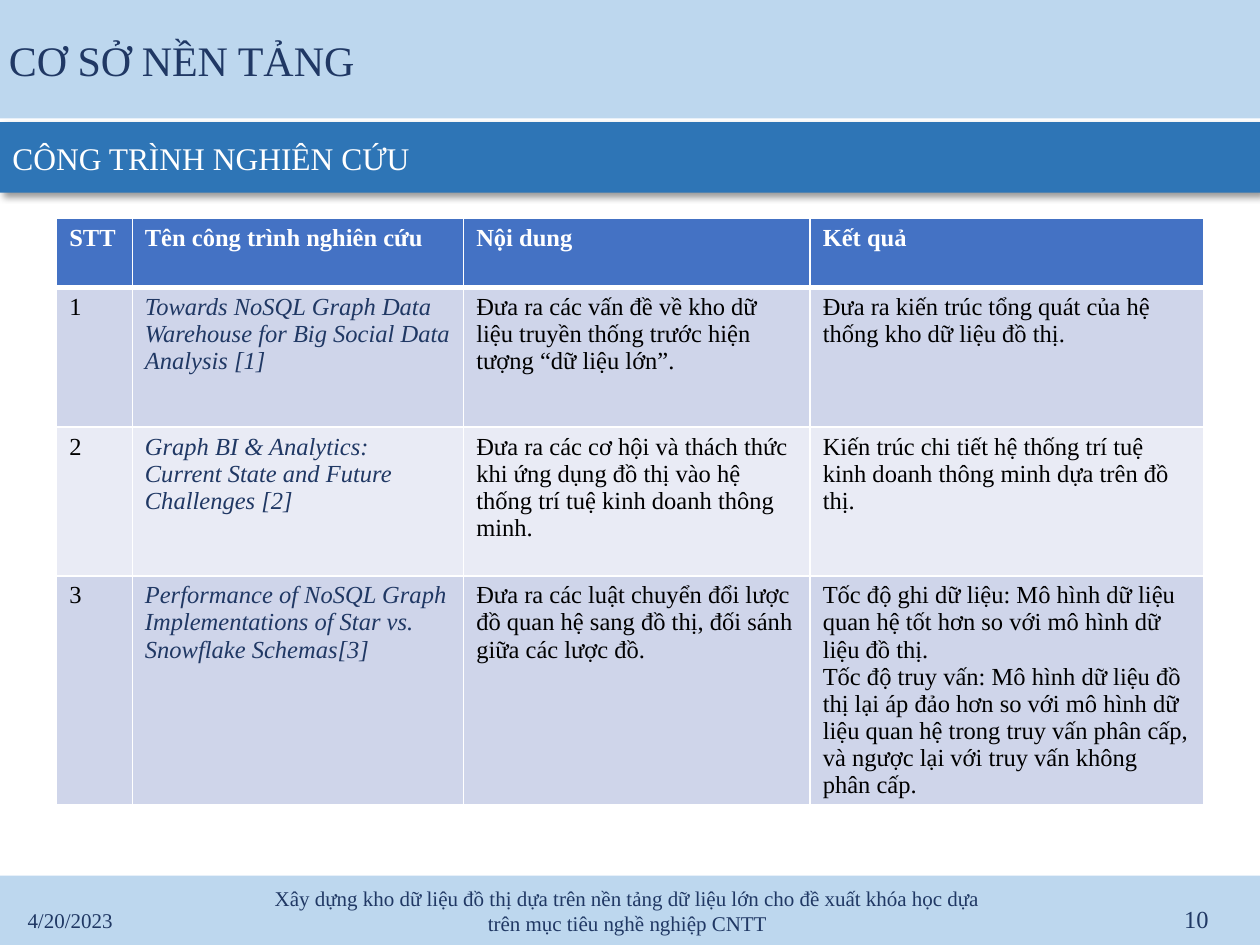
from lxml.etree import SubElement
from pptx import Presentation
from pptx.dml.color import RGBColor
from pptx.enum.shapes import MSO_SHAPE as Shape
from pptx.enum.text import MSO_ANCHOR as Anchor, MSO_AUTO_SIZE as AutoSize, PP_ALIGN as Align
from pptx.oxml.ns import qn
from pptx.util import Inches, Pt

FONT = "Times New Roman"
COLORS = {
    "pale": "BDD7EE", "bar": "2E75B6", "navy": "203864", "white": "FFFFFF", "black": "000000",
    "header": "4472C4", "odd": "CFD5EA", "even": "E9EBF5",
}
COLUMN_WIDTHS = [0.6, 2.63, 2.75, 3.12]
ROW_HEIGHTS = [0.55, 1.11, 1.18, 1.36]
ROWS = [
    ["STT", "Tên công trình nghiên cứu", "Nội dung", "Kết quả"],
    ["1", "Towards NoSQL Graph Data Warehouse for Big Social Data Analysis [1]",
     "Đưa ra các vấn đề về kho dữ liệu truyền thống trước hiện tượng “dữ liệu lớn”.",
     "Đưa ra kiến trúc tổng quát của hệ thống kho dữ liệu đồ thị."],
    ["2", "Graph BI & Analytics: Current State and Future Challenges [2]",
     "Đưa ra các cơ hội và thách thức khi ứng dụng đồ thị vào hệ thống trí tuệ kinh doanh "
     "thông minh.",
     "Kiến trúc chi tiết hệ thống trí tuệ kinh doanh thông minh dựa trên đồ thị."],
    ["3", "Performance of NoSQL Graph Implementations of Star vs. Snowflake Schemas[3]",
     "Đưa ra các luật chuyển đổi lược đồ quan hệ sang đồ thị, đối sánh giữa các lược đồ.",
     "Tốc độ ghi dữ liệu: Mô hình dữ liệu quan hệ tốt hơn so với mô hình dữ liệu đồ thị.\n"
     "Tốc độ truy vấn: Mô hình dữ liệu đồ thị lại áp đảo hơn so với mô hình dữ liệu quan hệ "
     "trong truy vấn phân cấp, và ngược lại với truy vấn không phân cấp."],
]


def color(name):
    return RGBColor.from_string(COLORS[name])


def fill_solid(item, name):
    item.fill.solid()
    item.fill.fore_color.rgb = color(name)


def write(frame, text, size, name, align=Align.LEFT, bold=False, italic=False):
    frame.text = text
    frame.word_wrap = True
    for para in frame.paragraphs:
        para.alignment = align
        font = para.font
        font.name, font.size, font.bold, font.italic = FONT, Pt(size), bold, italic
        font.color.rgb = color(name)


def add_title(page, text):
    title = page.shapes.title
    title.left, title.top, title.width, title.height = map(Inches, (0, 0, 10, 0.94))
    fill_solid(title, "pale")
    frame = title.text_frame
    write(frame, text, 24, "navy")
    frame.auto_size = AutoSize.NONE
    frame.vertical_anchor = Anchor.MIDDLE
    frame.margin_left = frame.margin_right = Inches(0.07)
    frame.margin_top = frame.margin_bottom = Inches(0.04)


def add_band(page, top, name):
    band = page.shapes.add_shape(Shape.RECTANGLE, 0, Inches(top), Inches(10), Inches(0.56))
    fill_solid(band, name)
    band.line.fill.background()
    band.shadow.inherit = False
    return band


def add_shadow(shape):
    effects = shape._element.spPr.find(qn("a:effectLst"))
    shadow = SubElement(effects, qn("a:outerShdw"), blurRad=str(Pt(4)), dist=str(Pt(3)),
                        dir=str(45 * 60000), algn="tl", rotWithShape="0")
    tint = SubElement(shadow, qn("a:srgbClr"), val=COLORS["black"])
    SubElement(tint, qn("a:alpha"), val="40000")


def add_text(page, left, top, width, text, size, align):
    box = page.shapes.add_textbox(Inches(left), Inches(top), Inches(width), Inches(0.4))
    write(box.text_frame, text, size, "navy", align)
    box.text_frame.vertical_anchor = Anchor.MIDDLE


def set_borders(cell, top, bottom):
    properties = cell._tc.get_or_add_tcPr()
    for side, width in (("L", 1), ("R", 1), ("T", top), ("B", bottom)):
        line = SubElement(properties, qn(f"a:ln{side}"), w=str(Pt(width)))
        SubElement(SubElement(line, qn("a:solidFill")), qn("a:srgbClr"), val=COLORS["white"])


def fill_cell(cell, text, row, column):
    is_header = row == 0
    is_name = column == 1 and not is_header
    set_borders(cell, 3 if row == 1 else 1, 3 if is_header else 1)
    fill_solid(cell, "header" if is_header else "odd" if row % 2 else "even")
    ink = "white" if is_header else "navy" if is_name else "black"
    write(cell.text_frame, text, 14, ink, bold=is_header, italic=is_name)


def add_research_table(page):
    table = page.shapes.add_table(len(ROWS), len(COLUMN_WIDTHS), Inches(0.45), Inches(1.73),
                                  Inches(9.11), Inches(4.8)).table
    for column, width in zip(table.columns, COLUMN_WIDTHS):
        column.width = Inches(width)
    for row, (height, texts) in enumerate(zip(ROW_HEIGHTS, ROWS)):
        table.rows[row].height = Inches(height)
        for column, text in enumerate(texts):
            fill_cell(table.cell(row, column), text, row, column)


def main():
    deck = Presentation()
    deck.slide_width, deck.slide_height = Inches(10), Inches(7.5)
    page = deck.slides.add_slide(deck.slide_layouts[5])

    # Title and section bar
    add_title(page, "CƠ SỞ NỀN TẢNG")
    section = add_band(page, 0.97, "bar")
    add_shadow(section)
    write(section.text_frame, "CÔNG TRÌNH NGHIÊN CỨU", 18, "white")
    section.text_frame.vertical_anchor = Anchor.MIDDLE

    # Related research
    add_research_table(page)

    # Footer
    add_band(page, 6.95, "pale")
    add_text(page, 0.12, 7.1, 2.25, "4/20/2023", 12, Align.LEFT)
    add_text(page, 2.08, 7.03, 5.8,
             "Xây dựng kho dữ liệu đồ thị dựa trên nền tảng dữ liệu lớn cho đề xuất khóa học "
             "dựa trên mục tiêu nghề nghiệp CNTT", 12, Align.CENTER)
    add_text(page, 7.44, 7.09, 2.25, "10", 14, Align.RIGHT)

    deck.save("out.pptx")


if __name__ == "__main__":
    main()
